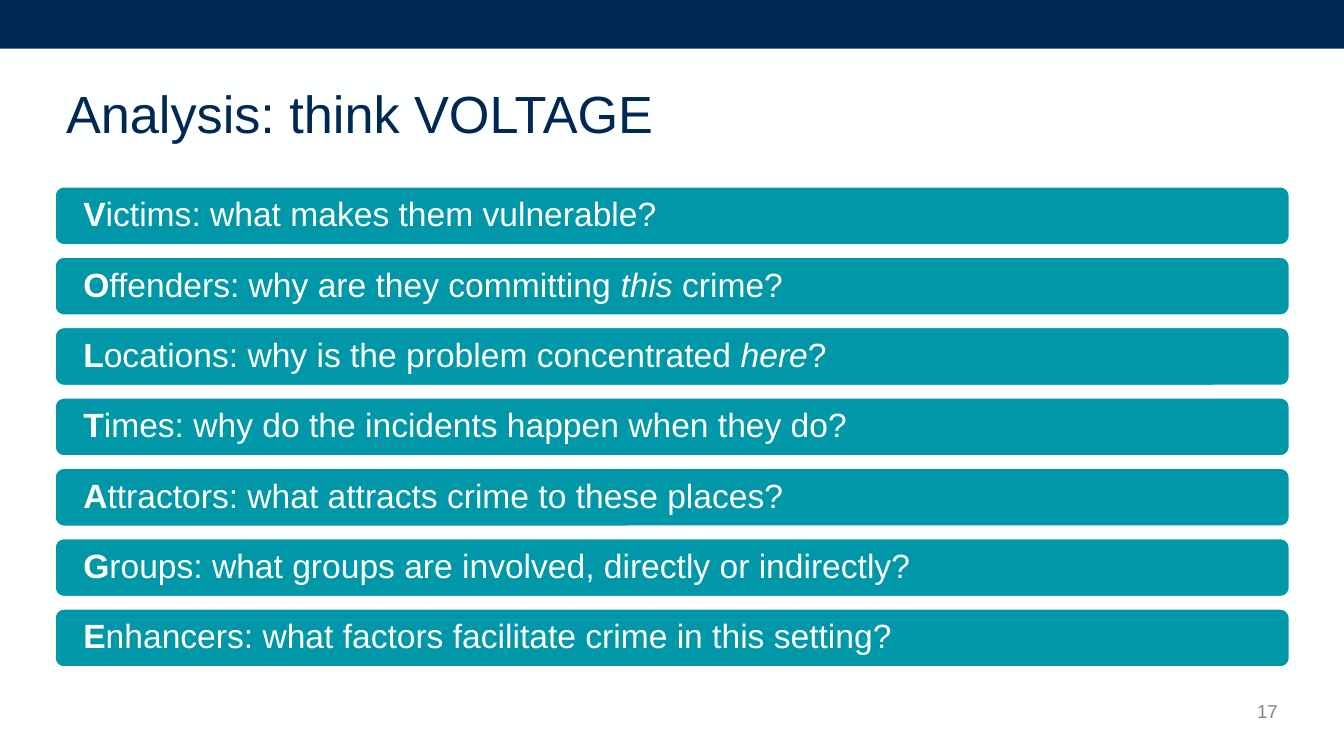
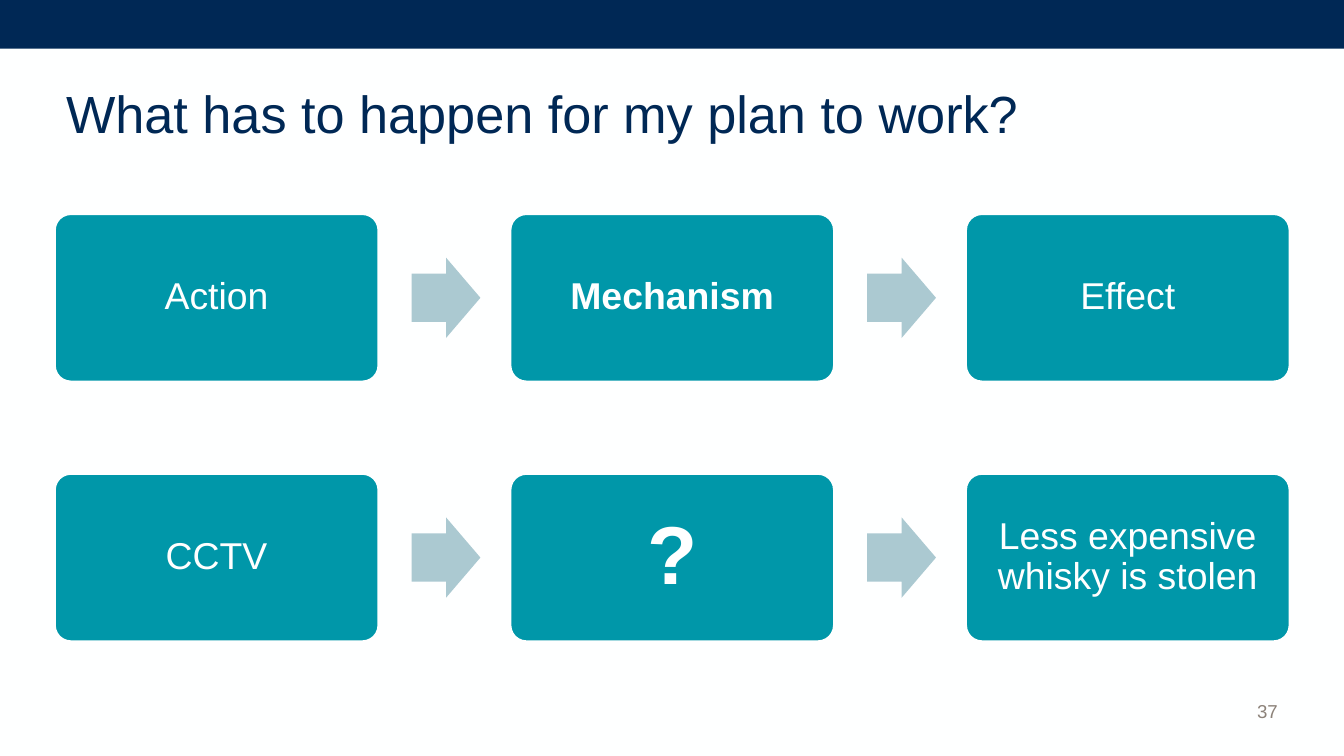
from pptx import Presentation
from pptx.dml.color import RGBColor
from pptx.enum.shapes import MSO_SHAPE as Shape
from pptx.enum.text import MSO_ANCHOR as Anchor, PP_ALIGN as Align
from pptx.util import Cm, Pt

NAVY = RGBColor(0x00, 0x28, 0x55)
TEAL = RGBColor(0x00, 0x97, 0xA9)
MIST = RGBColor(0xAB, 0xC9, 0xD1)
GREY = RGBColor(0x8C, 0x82, 0x79)
WHITE = RGBColor(0xFE, 0xFF, 0xFF)
FONT = "Arial"
WIDTH, HEIGHT = 25.4, 14.29
LEFT = 1.02

# Text between underscores is set in italics.
VOLTAGE = [
    "Victims: what makes them vulnerable?",
    "Offenders: why are they committing _this_ crime?",
    "Locations: why is the problem concentrated _here_?",
    "Times: why do the incidents happen when they do?",
    "Attractors: what attracts crime to these places?",
    "Groups: what groups are involved, directly or indirectly?",
    "Enhancers: what factors facilitate crime in this setting?",
]
# Each step: text, size, bold
CHAINS = [
    [("Action", 20, False), ("Mechanism", 20, True), ("Effect", 20, False)],
    [("CCTV", 20, False), ("?", 44, True),
     ("Less expensive whisky is stolen", 20, False)],
]


def style(font, size, color, bold=False):
    font.name = FONT
    font.size = Pt(size)
    font.color.rgb = color
    font.bold = bold


def add_block(slide, kind, box, fill, edge=False):
    block = slide.shapes.add_shape(kind, *map(Cm, box))
    block.shadow.inherit = False
    block.fill.solid()
    block.fill.fore_color.rgb = fill
    if edge:
        block.line.color.rgb = WHITE
        block.line.width = Pt(2)
    else:
        block.line.fill.background()
    return block


def set_frame(shape, side, edge, anchor=Anchor.MIDDLE):
    """Set wrap, insets and anchor; return the text frame."""
    frame = shape.text_frame
    frame.word_wrap = True
    frame.margin_left = frame.margin_right = Cm(side)
    frame.margin_top = frame.margin_bottom = Cm(edge)
    frame.vertical_anchor = anchor
    return frame


def add_label(slide, box, text, size, color, anchor=Anchor.MIDDLE):
    label = slide.shapes.add_textbox(*map(Cm, box))
    frame = set_frame(label, 0.25, 0.13, anchor)
    frame.text = text
    para = frame.paragraphs[0]
    style(para.runs[0].font, size, color)
    return para


def add_page(deck, title, number):
    """Add a slide with the band, title and page number."""
    slide = deck.slides.add_slide(deck.slide_layouts[6])
    back = slide.background.fill
    back.solid()
    back.fore_color.rgb = WHITE
    add_block(slide, Shape.RECTANGLE, (0, 0, WIDTH, 0.92), NAVY)
    head = add_label(slide, (1, 1, 23.4, 2.48), title, 28, NAVY)
    head.line_spacing = Pt(27)
    foot = add_label(slide, (22.4, 12.67, 2, 1.12), str(number), 10, GREY,
                     Anchor.BOTTOM)
    foot.alignment = Align.RIGHT
    return slide


def add_row(slide, top, text):
    """Add a full-width bar whose first letter is bold."""
    bar = add_block(slide, Shape.ROUNDED_RECTANGLE, (LEFT, top, 23.37, 1.14),
                    TEAL, True)
    para = set_frame(bar, 0.5, 0).paragraphs[0]
    para.alignment = Align.LEFT
    para.line_spacing = 0.9
    parts = [text[0], *text[1:].split("_")]
    for i, part in enumerate(parts):
        run = para.add_run()
        run.text = part
        style(run.font, 18, WHITE, i == 0)
        run.font.italic = i == 2


def add_step(slide, left, top, text, size, bold):
    card = add_block(slide, Shape.ROUNDED_RECTANGLE, (left, top, 6.15, 3.2),
                     TEAL, True)
    card.adjustments[0] = 0.1
    frame = set_frame(card, 0.2, 0.2)
    frame.text = text
    para = frame.paragraphs[0]
    para.alignment = Align.CENTER
    para.line_spacing = 0.9
    style(para.runs[0].font, size, WHITE, bold)


def add_chain(slide, top, steps):
    """Add a row of steps with an arrow between each pair."""
    for i, step in enumerate(steps):
        left = LEFT + i * 8.61
        if i:
            arrow = add_block(slide, Shape.RIGHT_ARROW,
                              (left - 1.85, top + 0.84, 1.3, 1.52), MIST)
            arrow.adjustments[0] = 0.6
            arrow.adjustments[1] = 0.5
        add_step(slide, left, top, *step)


def main():
    deck = Presentation()
    deck.slide_width, deck.slide_height = Cm(WIDTH), Cm(HEIGHT)

    slide = add_page(deck, "Analysis: think VOLTAGE", 17)
    for i, text in enumerate(VOLTAGE):
        add_row(slide, 3.51 + i * 1.33, text)

    slide = add_page(deck, "What has to happen for my plan to work?", 37)
    for i, steps in enumerate(CHAINS):
        add_chain(slide, 4.03 + i * 4.91, steps)

    deck.save("out.pptx")


if __name__ == "__main__":
    main()
